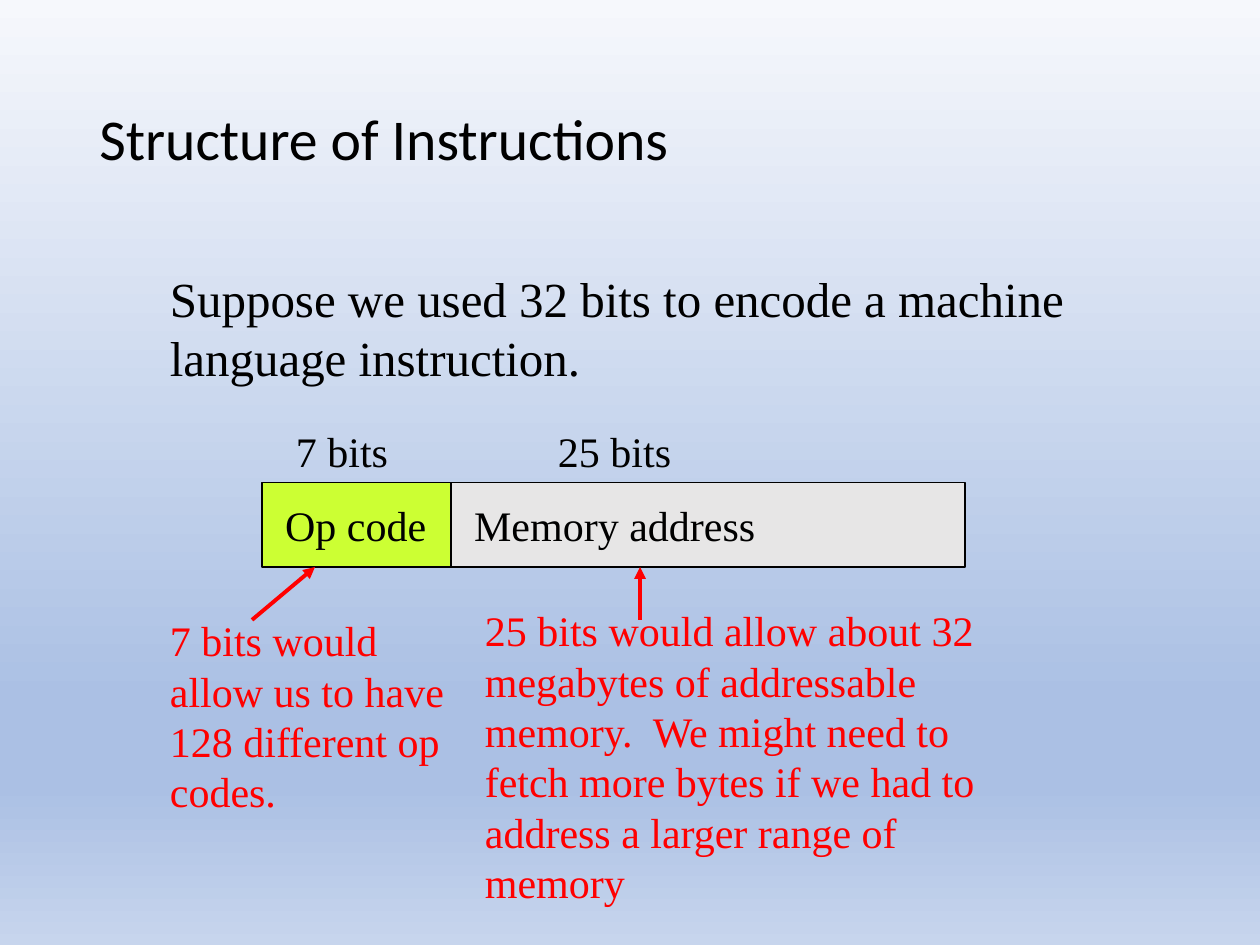
from dataclasses import dataclass

import pptx
import pptx.dml.color
import pptx.enum.shapes
import pptx.enum.text
import pptx.oxml
import pptx.oxml.ns
import pptx.util
from pptx.util import Inches


@dataclass(frozen=True)
class Theme:
    ink: str = "000000"
    accent: str = "FF0000"
    op_code: str = "CCFF33"
    address: str = "E7E6E6"
    backdrop: tuple = ((0, "F6F8FC"), (74, "ABC0E4"), (83, "ABC0E4"), (100, "C7D5ED"))
    heading_font: str = "Calibri"
    body_font: str = "Times New Roman"
    heading_size: int = 33
    intro_size: int = 28
    label_size: int = 24
    border: float = 0.75
    arrow: float = 2.25


THEME = Theme()


def rgb(value):
    return pptx.dml.color.RGBColor.from_string(value)


def add_text(slide, box, words, size=THEME.label_size, color=THEME.ink,
             font=THEME.body_font, frame_format=None, paragraph_format=None):
    frame = slide.shapes.add_textbox(*map(Inches, box)).text_frame
    frame.word_wrap = True
    for name, value in (frame_format or {}).items():
        setattr(frame, name, value)
    paragraph = frame.paragraphs[0]
    paragraph.text = words
    for name, value in (paragraph_format or {}).items():
        setattr(paragraph, name, value)
    for name, value in {"name": font, "size": pptx.util.Pt(size)}.items():
        setattr(paragraph.font, name, value)
    paragraph.font.color.rgb = rgb(color)


def add_arrow(slide, start, end):
    arrow = slide.shapes.add_connector(
        pptx.enum.shapes.MSO_CONNECTOR.STRAIGHT, *map(Inches, (*start, *end)))
    arrow.line.color.rgb = rgb(THEME.accent)
    arrow.line.width = pptx.util.Pt(THEME.arrow)
    qn = pptx.oxml.ns.qn
    head = arrow.line._get_or_add_ln().makeelement(qn("a:tailEnd"), {"type": "triangle"})
    arrow.line._get_or_add_ln().append(head)
    properties = arrow._element.spPr
    properties.append(properties.makeelement(qn("a:effectLst"), {}))


def paint_background(slide):
    fill = slide.background.fill
    fill.gradient()
    fill.gradient_angle = 270
    qn = pptx.oxml.ns.qn
    stops = slide.background._cSld.find(".//" + qn("a:gsLst"))
    for stop in list(stops):
        stops.remove(stop)
    for percent, color in THEME.backdrop:
        stops.append(pptx.oxml.parse_xml(
            f'<a:gs {pptx.oxml.ns.nsdecls("a")} pos="{percent * 1000}">'
            f'<a:srgbClr val="{color}"/></a:gs>'))


def add_heading(slide, box):
    add_text(slide, box, "Structure of Instructions", THEME.heading_size,
             font=THEME.heading_font,
             frame_format={"vertical_anchor": pptx.enum.text.MSO_ANCHOR.MIDDLE},
             paragraph_format={"line_spacing": 0.9})


def add_field(slide, box, color, name, bits, bits_offset):
    """One field of the instruction word, with its width in bits above it."""
    left, top, width, height = box
    field = slide.shapes.add_shape(
        pptx.enum.shapes.MSO_SHAPE.RECTANGLE, *map(Inches, box))
    field.shadow.inherit = False
    field.fill.solid()
    field.fill.fore_color.rgb = rgb(color)
    field.line.color.rgb = rgb(THEME.ink)
    field.line.width = pptx.util.Pt(THEME.border)
    inset = (height - 0.5) / 2
    add_text(slide, (left + inset, top + inset, width - 2 * inset, 0.5), name)
    add_text(slide, (left + bits_offset, top - 0.5, 2 if width > 2 else 1.25, 0.5), bits)


def add_note(slide, box, words, arrow_start, arrow_end):
    """A remark with an arrow up to its field, both relative to the remark."""
    left, top = box[:2]
    add_text(slide, box, words, color=THEME.accent)
    add_arrow(slide, *((left + x, top + y) for x, y in (arrow_start, arrow_end)))


def main():
    deck = pptx.Presentation()
    deck.slide_width, deck.slide_height = Inches(10), Inches(7.5)
    slide = deck.slides.add_slide(deck.slide_layouts[6])
    paint_background(slide)

    # Heading and introduction
    add_heading(slide, (0.69, 0.4, 8.62, 1.45))
    add_text(slide, (1.25, 2.08, 7.92, 1.03),
             "Suppose we used 32 bits to encode a machine language instruction.",
             THEME.intro_size)

    # Instruction word
    add_field(slide, (2.08, 3.83, 1.5, 0.67), THEME.op_code, "Op code", "7 bits", 0.17)
    add_field(slide, (3.58, 3.83, 4.08, 0.67), THEME.address,
              "Memory address", "25 bits", 0.75)

    # Remarks on each field
    add_note(slide, (1.25, 4.83, 2.42, 1.7),
             "7 bits would allow us to have 128 different op codes.",
             (0.75, 0.09), (1.25, -0.33))
    add_note(slide, (3.75, 4.75, 4.25, 2.5),
             "25 bits would allow about 32 megabytes of addressable memory.  We might "
             "need to fetch more bytes if we had to address a larger range of memory",
             (1.33, 0.17), (1.33, -0.25))

    deck.save("out.pptx")


if __name__ == "__main__":
    main()
